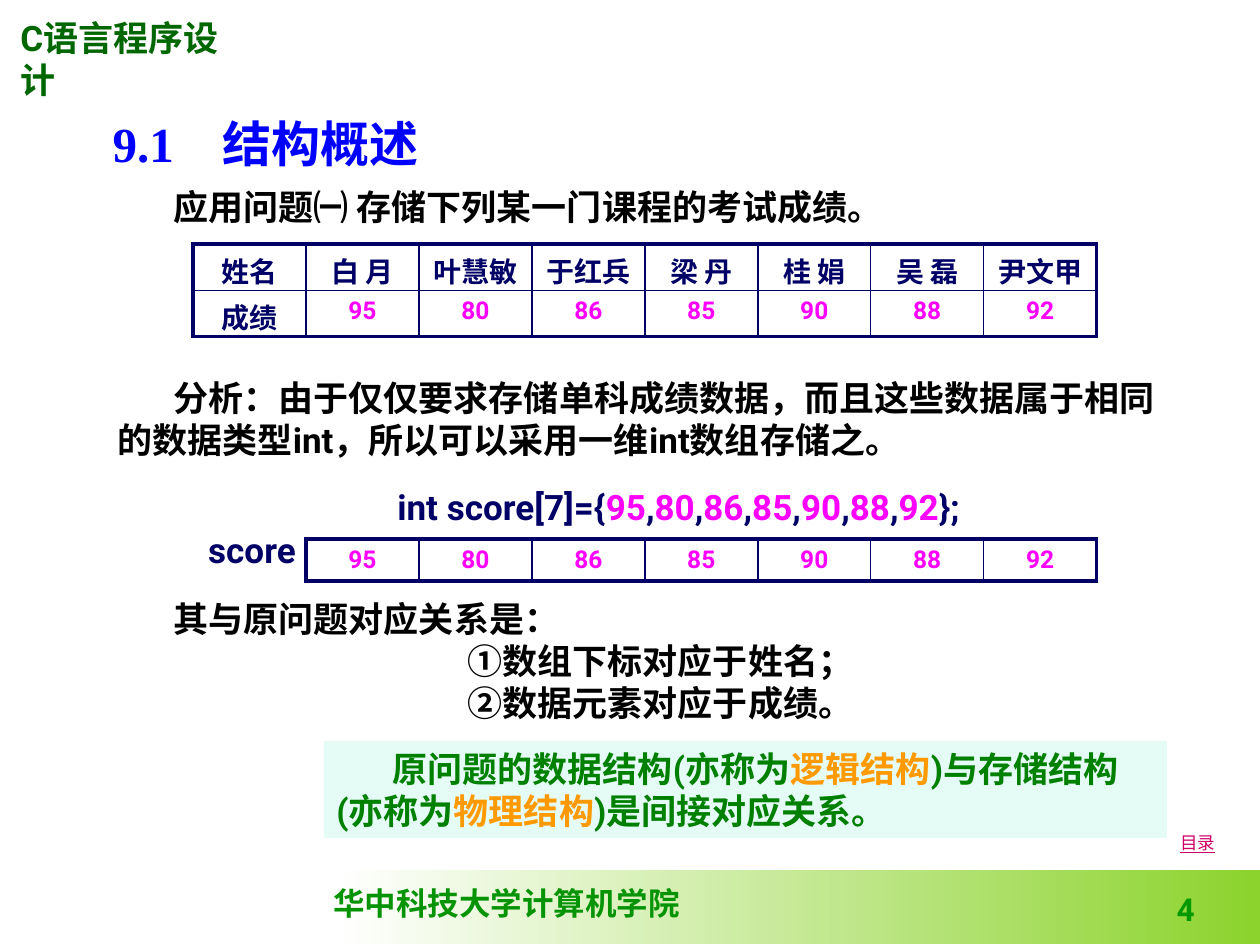
from lxml import etree
from pptx import Presentation
from pptx import util as u
from pptx.dml.color import RGBColor
from pptx.enum import shapes, text
from pptx.oxml import ns

PX = 7257  # EMU per px, 126 px to the inch
NAVY, PINK, BLACK, GREEN, ORANGE = "000066", "FF00FF", "000000", "008000", "FF9900"
LEFT, CENTER, RIGHT = text.PP_ALIGN.LEFT, text.PP_ALIGN.CENTER, text.PP_ALIGN.RIGHT
TOP, MIDDLE, BOTTOM = text.MSO_ANCHOR.TOP, text.MSO_ANCHOR.MIDDLE, text.MSO_ANCHOR.BOTTOM
color = RGBColor.from_string


def write(frame, lines, size=20, face="Roboto", align=LEFT, anchor=TOP, **font):
    """Fill a frame; each line is (margin, first-line indent, [(words, hex), ...])."""
    frame.word_wrap = True
    frame.vertical_anchor = anchor
    for number, (margin, indent, runs) in enumerate(lines):
        para = frame.paragraphs[0] if number == 0 else frame.add_paragraph()
        para.alignment = align
        para.space_before = u.Pt(0)
        properties = para._p.get_or_add_pPr()
        properties.set("marL", str(margin * PX))
        properties.set("indent", str(indent * PX))
        etree.SubElement(properties, ns.qn("a:buNone"))
        for words, shade in runs:
            span = para.add_run()
            span.text = words
            span.font.color.rgb = color(shade)
            style = {"size": u.Pt(size), "name": face, "bold": True, **font}
            for key, value in style.items():
                setattr(span.font, key, value)


def add_grid(left, top, column, row, rows):
    """Add a ruled table: thick outside, thin inside; numbers are pink."""
    count, width = len(rows), len(rows[0])
    table = page.shapes.add_table(count, width, left * PX, top * PX,
                                  column * width * PX, row * count * PX).table
    table.first_row = table.horz_banding = False
    for line in table.rows:
        line.height = row * PX
    for r, values in enumerate(rows):
        for c, value in enumerate(values):
            cell = table.cell(r, c)
            number = value.isdigit()
            write(cell.text_frame, [(0, 0, [(value, PINK if number else NAVY)])],
                  size=14 if number else 16, align=CENTER)
            outside = {"lnL": c == 0, "lnR": c == width - 1,
                       "lnT": r == 0, "lnB": r == count - 1}
            for side, thick in outside.items():
                border = etree.SubElement(cell._tc.get_or_add_tcPr(), ns.qn("a:" + side),
                                          w=str(u.Pt(2.25 if thick else 1)))
                fill = etree.SubElement(border, ns.qn("a:solidFill"))
                etree.SubElement(fill, ns.qn("a:srgbClr"), val=NAVY)
            cell.fill.background()


deck = Presentation()
deck.slide_width, deck.slide_height = 1260 * PX, 945 * PX
page = deck.slides.add_slide(deck.slide_layouts[1])
names = ["白 月", "叶慧敏", "于红兵", "梁 丹", "桂 娟", "吴 磊", "尹文甲"]
scores = ["95", "80", "86", "85", "90", "88", "92"]

# Footer band and tinted conclusion panel
band, panel = [
    page.shapes.add_shape(shapes.MSO_SHAPE.RECTANGLE, *(n * PX for n in place))
    for place in [(336, 870, 924, 74), (324, 741, 843, 97)]]
for shape in (band, panel):
    shape.shadow.inherit = False
    shape.line.fill.background()
band.fill.gradient()
band.fill.gradient_angle = 0
for stop, shade in zip(band.fill.gradient_stops, ("FFFFFF", "8CD32D")):
    stop.color.rgb = color(shade)
panel.fill.solid()
panel.fill.fore_color.rgb = color("00E4A8")
tint = panel._element.spPr.find(".//" + ns.qn("a:srgbClr"))
etree.SubElement(tint, ns.qn("a:alpha"), val="10000")
write(panel.text_frame, [(0, 56, [
    ("原问题的数据结构(亦称为", GREEN), ("逻辑结构", ORANGE),
    (")与存储结构(亦称为", GREEN), ("物理结构", ORANGE),
    (")是间接对应关系。", GREEN)])])

# Title and list placeholders
title, body = page.shapes.title, page.placeholders[1]
for holder, place in ((title, (100, 106, 948, 73)), (body, (105, 591, 1091, 139))):
    holder.left, holder.top, holder.width, holder.height = (n * PX for n in place)
    holder.text_frame.auto_size = text.MSO_AUTO_SIZE.NONE
write(title.text_frame, [(0, 0, [("9.1　结构概述", "0000FF")])],
      size=28, face="Times New Roman", anchor=BOTTOM)
write(body.text_frame, [
    (56, 0, [("其与原问题对应关系是：", BLACK)]),
    (350, 0, [("①数组下标对应于姓名；", BLACK)]),
    (350, 0, [("②数据元素对应于成绩。", BLACK)])], anchor=MIDDLE)

# Array declaration: navy code with pink values
code = [("int score[7]={", NAVY)]
for score in scores:
    code += [(score, PINK), (",", NAVY)]
code[-1] = ("};", NAVY)

# Text boxes: place, lines, format
boxes = [
    ((321, 878, 372, 50), [(0, 0, [("华中科技大学计算机学院", "069406")])],
     {"size": 18, "face": "Times New Roman"}),
    ((8, 10, 258, 54), [(0, 0, [("C语言程序设计", "006600")])], {}),
    ((945, 876, 262, 58), [(0, 0, [("4", "009900")])],
     {"size": 18, "align": RIGHT, "anchor": BOTTOM}),
    ((1168, 826, 71, 34), [(0, 0, [("目录", "CC0066")])],
     {"size": 10, "bold": False, "underline": True}),
    ((105, 179, 1091, 54), [(0, 56, [("应用问题㈠ 存储下列某一门课程的考试成绩。", BLACK)])],
     {"anchor": MIDDLE}),
    ((105, 370, 1091, 97), [(0, 56, [(
        "分析：由于仅仅要求存储单科成绩数据，而且这些数据属于相同的数据类型int，"
        "所以可以采用一维int数组存储之。", BLACK)])], {"anchor": MIDDLE}),
    ((105, 479, 1091, 54), [(56, 0, code)], {"align": CENTER, "anchor": MIDDLE}),
    ((183, 522, 138, 54), [(0, 0, [("score", NAVY)])], {"align": CENTER}),
]
for place, lines, style in boxes:
    box = page.shapes.add_textbox(*(n * PX for n in place))
    write(box.text_frame, lines, **style)

# Score table and array cells share one column width
add_grid(193, 244, 113, 46, [["姓名"] + names, ["成绩"] + scores])
add_grid(306, 539, 113, 42, [scores])

deck.save("out.pptx")
